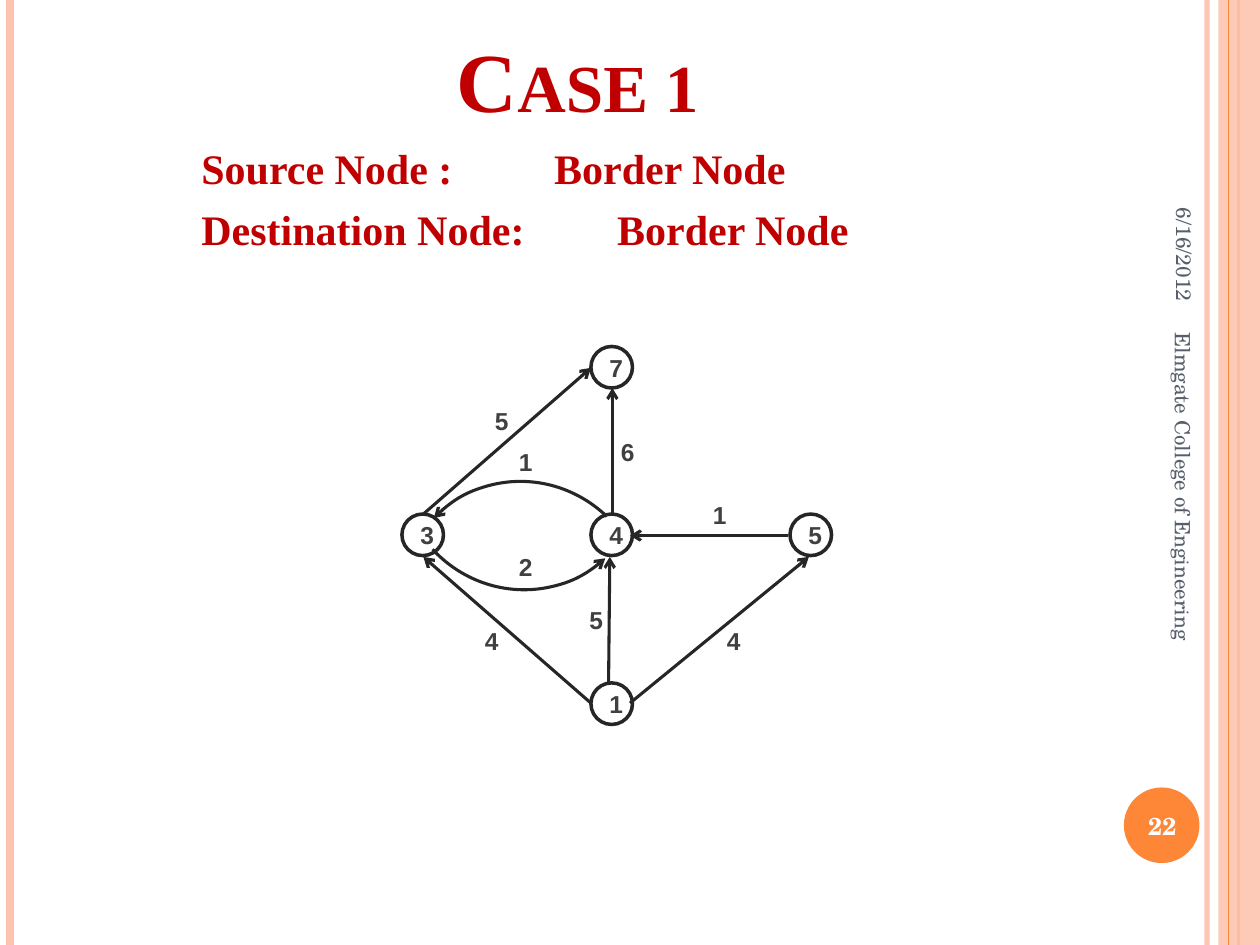
from dataclasses import dataclass

from lxml.etree import SubElement
from pptx import Presentation
from pptx.dml.color import RGBColor
from pptx.enum.shapes import MSO_CONNECTOR, MSO_SHAPE
from pptx.enum.text import MSO_ANCHOR, MSO_AUTO_SIZE, PP_ALIGN
from pptx.oxml.ns import qn
from pptx.util import Inches, Pt


@dataclass(frozen=True)
class Theme:
    heading: str = "C00000"
    peach: str = "FEC3AE"
    orange: str = "FE8637"
    footer: str = "575F6D"
    ink: str = "262626"
    digit: str = "404040"
    white: str = "FFFFFF"
    serif: str = "Times New Roman"
    footer_font: str = "TeX Gyre Schola"
    sans: str = "Arial"
    title_size: float = 48
    body_size: float = 24
    digit_size: float = 14
    footer_size: float = 12
    node_line: float = 2
    edge_line: float = 1.75


THEME = Theme()
NODE_SIZE = 0.33

# Node number: left, top
NODES = {"3": (3.19, 4.08), "7": (4.69, 2.75), "4": (4.69, 4.08),
         "5": (6.27, 4.08), "1": (4.69, 5.42)}

# Start, end, weight, left and top of the weight
STRAIGHT_EDGES = [
    ((3.36, 4.08), (4.69, 2.92), "5", (3.83, 3.17)),
    ((4.86, 4.08), (4.86, 3.08), "6", (4.83, 3.42)),
    ((4.69, 5.58), (3.36, 4.42), "4", (3.75, 4.92)),
    ((5.00, 5.58), (6.42, 4.42), "4", (5.67, 4.92)),
    ((4.83, 5.42), (4.84, 4.42), "5", (4.58, 4.75)),
    ((6.25, 4.25), (5.00, 4.25), "1", (5.56, 3.92)),
]

# Left, top, rotation, weight, left and top of the weight
CURVED_EDGES = [
    (3.19, 3.81, 313.9, "1", (4.02, 3.5)),
    (3.18, 2.73, 137.4, "2", (4.02, 4.33)),
]


def color(value):
    return RGBColor.from_string(value)


def style_text(text_frame, font, size, value, bold=True, align=PP_ALIGN.LEFT):
    for paragraph in text_frame.paragraphs:
        paragraph.alignment = align
        for run in paragraph.runs:
            run.font.name = font
            run.font.size = Pt(size)
            run.font.bold = bold
            run.font.color.rgb = color(value)


def set_opacity(fill_element, percent):
    color_element = fill_element.find(".//" + qn("a:srgbClr"))
    SubElement(color_element, qn("a:alpha"), val=str(percent * 1000))


def add_arrowhead(shape, end):
    SubElement(shape.line._get_or_add_ln(), qn(f"a:{end}"), type="arrow")


def add_line(slide, start, end, value, width):
    line = slide.shapes.add_connector(
        MSO_CONNECTOR.STRAIGHT, *(Inches(number) for number in start + end))
    line.line.color.rgb = color(value)
    line.line.width = Pt(width)
    SubElement(line._element.spPr, qn("a:effectLst"))
    return line


def add_shape(slide, kind, left, top, width, height, fill=None):
    shape = slide.shapes.add_shape(
        kind, Inches(left), Inches(top), Inches(width), Inches(height))
    shape.shadow.inherit = False
    shape.line.fill.background()
    if fill:
        shape.fill.solid()
        shape.fill.fore_color.rgb = color(fill)
    else:
        shape.fill.background()
    return shape


def add_text(slide, text, left, top, width, height, font, size, value,
             bold=True, align=PP_ALIGN.LEFT, anchor=MSO_ANCHOR.TOP, rotation=0):
    box = slide.shapes.add_textbox(
        Inches(left), Inches(top), Inches(width), Inches(height))
    box.rotation = rotation
    text_frame = box.text_frame
    text_frame.word_wrap = True
    text_frame.vertical_anchor = anchor
    text_frame.text = text
    style_text(text_frame, font, size, value, bold, align)
    return text_frame


def add_frame(slide):
    # Vertical stripes at both sides
    stripe = add_line(slide, (9.58, 0), (9.58, 7.5), THEME.peach, 3)
    set_opacity(stripe.line._get_or_add_ln(), 93)
    add_line(slide, (0.08, 0), (0.08, 7.5), THEME.peach, 4.5)
    add_line(slide, (9.83, 0), (9.83, 7.5), THEME.orange, 1.5)
    band = add_shape(slide, MSO_SHAPE.RECTANGLE, 9.67, 0, 0.33, 7.5, THEME.peach)
    set_opacity(band._element.spPr, 87)
    add_line(slide, (9.75, 0), (9.75, 7.5), THEME.orange, 0.75)
    add_shape(slide, MSO_SHAPE.OVAL, 8.92, 6.25, 0.6, 0.6, THEME.orange)


def add_heading(slide):
    title = slide.shapes.title
    title.left, title.top = Inches(0.5), Inches(0.3)
    title.width, title.height = Inches(8.17), Inches(0.78)
    text_frame = title.text_frame
    text_frame.text = "Case 1"
    text_frame.auto_size = MSO_AUTO_SIZE.NONE
    text_frame.vertical_anchor = MSO_ANCHOR.BOTTOM
    style_text(text_frame, THEME.serif, THEME.title_size, THEME.heading,
               align=PP_ALIGN.CENTER)
    text_frame.paragraphs[0].runs[0]._r.get_or_add_rPr().set("cap", "small")


def add_body(slide):
    text_frame = add_text(
        slide, "Source Node : \t\tBorder Node\nDestination Node: \t\tBorder Node",
        1.5, 1.08, 7.08, 1.25, THEME.serif, THEME.body_size, THEME.heading)
    for paragraph in text_frame.paragraphs:
        paragraph.space_before = Pt(6)
        properties = paragraph._p.get_or_add_pPr()
        properties.set("marL", str(Inches(0.3)))
        properties.set("indent", str(Inches(-0.3)))


def add_footer(slide):
    style = (THEME.footer_font, THEME.footer_size, THEME.footer, False)
    add_text(slide, "6/16/2012", 8.3, 1.18, 2.2, 0.42, *style,
             align=PP_ALIGN.RIGHT, anchor=MSO_ANCHOR.MIDDLE, rotation=90)
    add_text(slide, "Elmgate College of Engineering", 7.64, 4.09, 3.5, 0.4, *style,
             anchor=MSO_ANCHOR.MIDDLE, rotation=90)
    add_text(slide, "22", 8.89, 6.27, 0.67, 0.57, THEME.footer_font,
             THEME.digit_size, THEME.white,
             align=PP_ALIGN.CENTER, anchor=MSO_ANCHOR.MIDDLE)


def add_node(slide, number, left, top):
    node = add_shape(slide, MSO_SHAPE.OVAL, left, top, NODE_SIZE, NODE_SIZE)
    node.line.color.rgb = color(THEME.ink)
    node.line.width = Pt(THEME.node_line)
    node.text_frame.text = number
    node.text_frame.vertical_anchor = MSO_ANCHOR.MIDDLE
    style_text(node.text_frame, THEME.sans, THEME.digit_size, THEME.digit,
               align=PP_ALIGN.CENTER)


def add_weight(slide, weight, position):
    add_text(slide, weight, *position, 0.33, 0.34,
             THEME.sans, THEME.digit_size, THEME.digit)


def add_straight_edge(slide, start, end, weight, position):
    edge = add_line(slide, start, end, THEME.ink, THEME.edge_line)
    add_arrowhead(edge, "tailEnd")
    add_weight(slide, weight, position)


def add_curved_edge(slide, left, top, rotation, weight, position):
    edge = add_shape(slide, MSO_SHAPE.ARC, left, top, 1.92, 1.96)
    edge.rotation = rotation
    edge.line.color.rgb = color(THEME.ink)
    edge.line.width = Pt(THEME.edge_line)
    add_arrowhead(edge, "headEnd")
    add_weight(slide, weight, position)


def main():
    presentation = Presentation()
    presentation.slide_width, presentation.slide_height = Inches(10), Inches(7.5)
    slide = presentation.slides.add_slide(presentation.slide_layouts[5])
    add_frame(slide)
    add_heading(slide)
    add_body(slide)
    add_footer(slide)
    # Weighted graph
    for number, (left, top) in NODES.items():
        add_node(slide, number, left, top)
    for edge in STRAIGHT_EDGES:
        add_straight_edge(slide, *edge)
    for edge in CURVED_EDGES:
        add_curved_edge(slide, *edge)
    presentation.save("out.pptx")


if __name__ == "__main__":
    main()
